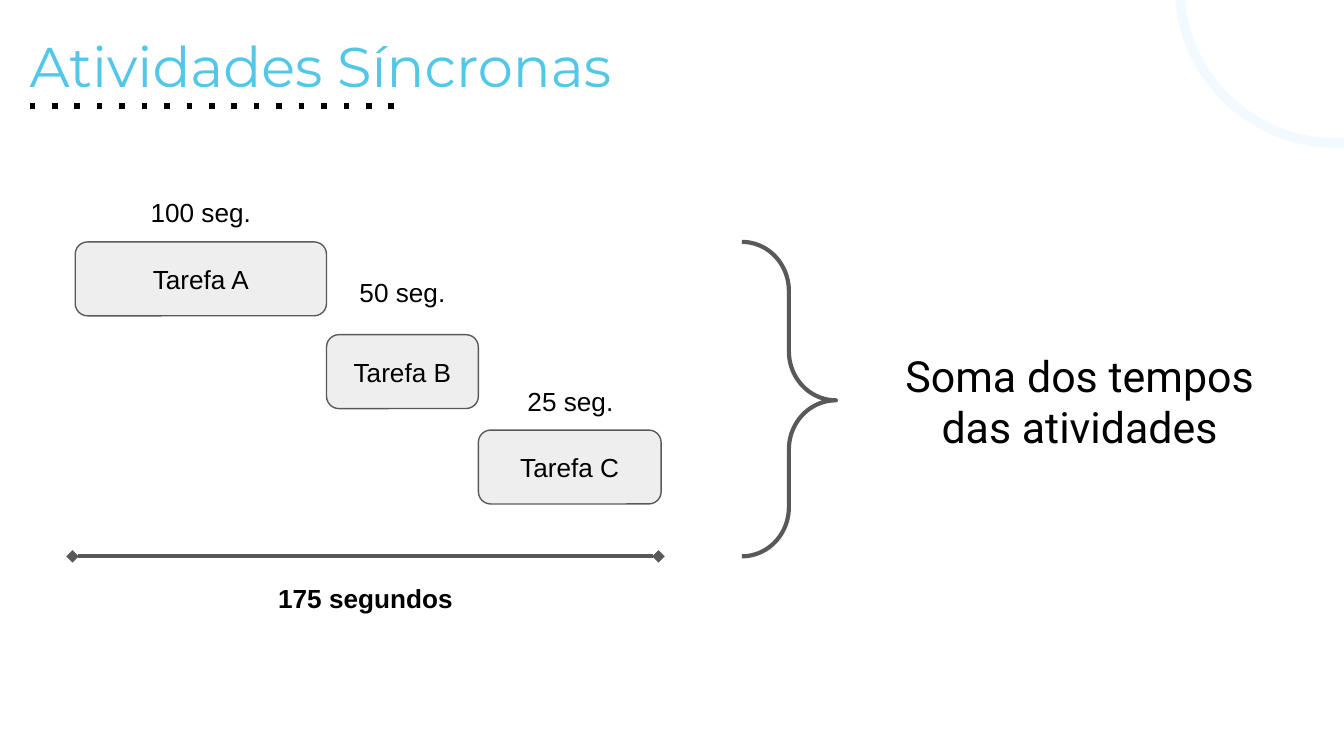
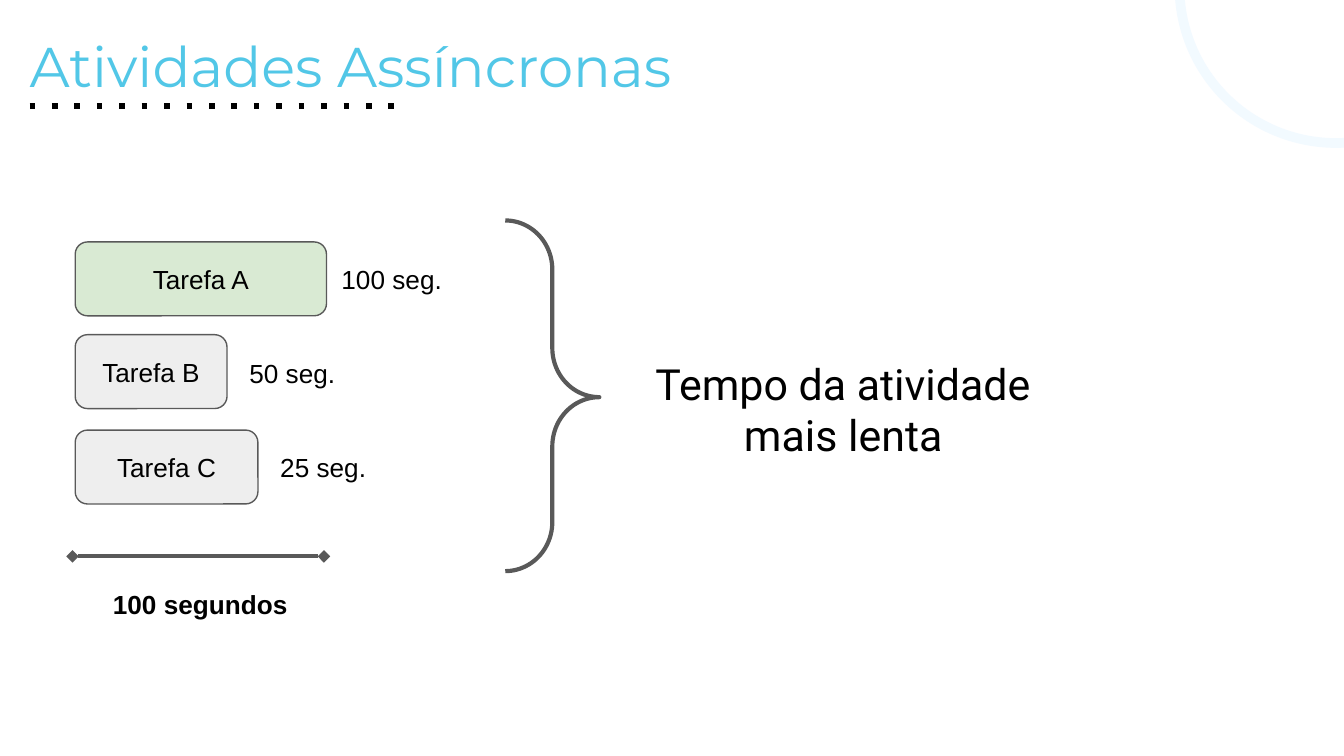
from dataclasses import dataclass
from typing import Optional

import lxml.etree
import pptx
import pptx.dml.color
import pptx.enum.shapes
import pptx.enum.text
import pptx.oxml.ns
import pptx.shapes.autoshape
import pptx.slide
import pptx.text.text
import pptx.util

PX = 9144  # one px is a hundredth of an inch
PAGE_WIDTH = 1000
SHAPES = pptx.enum.shapes.MSO_SHAPE
ALIGN = pptx.enum.text.PP_ALIGN


# Theme
@dataclass(frozen=True)
class TextStyle:
    font: str
    size: int
    color: str
    bold: bool = False
    align: Optional[ALIGN] = ALIGN.CENTER
    spacing: Optional[float] = None
    inset: int = 10


@dataclass(frozen=True)
class Theme:
    ring: str = "F2FAFF"
    dots: str = "000000"
    outline: str = "595959"
    task: str = "EEEEEE"
    slowest: str = "D9EAD3"
    thin: float = 0.75
    thick: float = 2.25
    dotted: float = 3
    title: TextStyle = TextStyle("Montserrat", 30, "52C7E7", align=None, spacing=1.09, inset=0)
    label: TextStyle = TextStyle("Arial", 14, "000000")
    total: TextStyle = TextStyle("Arial", 14, "000000", bold=True)
    note: TextStyle = TextStyle("Roboto", 23, "000000")


THEME = Theme()


# Content
@dataclass(frozen=True)
class Frame:
    left: int
    top: int
    width: int
    height: int

    @property
    def right(self) -> int:
        return self.left + self.width

    @property
    def center(self) -> int:
        return self.left + self.width // 2

    def emu(self) -> tuple[int, int, int, int]:
        return self.left * PX, self.top * PX, self.width * PX, self.height * PX


@dataclass(frozen=True)
class Task:
    name: str
    duration: str
    top: int
    width: int


@dataclass(frozen=True)
class Activity:
    title: str
    sequential: bool
    label_tops: tuple[int, ...]
    total: str
    total_place: Frame
    brace: Frame
    note: str
    note_top: int


TASKS = (
    Task("Tarefa A", "100 seg.", 180, 187),
    Task("Tarefa B", "50 seg.", 249, 113),
    Task("Tarefa C", "25 seg.", 320, 136),
)
ACTIVITIES = (
    Activity("Atividades Síncronas", True, (136, 196, 277),
             "175 segundos", Frame(193, 423, 158, 44),
             Frame(552, 180, 70, 234), "Soma dos tempos das atividades", 250),
    Activity("Atividades Assíncronas", False, (186, 256, 326),
             "100 segundos", Frame(70, 428, 158, 44),
             Frame(376, 164, 70, 261), "Tempo da atividade mais lenta", 256),
)
TASK_LEFT, TASK_HEIGHT = 56, 55
LABEL_WIDTH, LABEL_HEIGHT = 97, 44
SPAN_LEFT, SPAN_TOP = 54, 414
NOTE_GAP = 23


# Drawing helpers
def rgb(color: str) -> pptx.dml.color.RGBColor:
    return pptx.dml.color.RGBColor.from_string(color)


def write(frame: pptx.text.text.TextFrame, words: str, style: TextStyle) -> None:
    frame.word_wrap = True
    frame.margin_left = frame.margin_right = style.inset * PX
    frame.margin_top = frame.margin_bottom = style.inset * PX
    para = frame.paragraphs[0]
    para.alignment = style.align
    para.line_spacing = style.spacing
    span = para.add_run()
    span.text = words
    span.font.name = style.font
    span.font.size = pptx.util.Pt(style.size)
    span.font.bold = style.bold
    span.font.color.rgb = rgb(style.color)


def add_text(page: pptx.slide.Slide, place: Frame, words: str, style: TextStyle) -> None:
    box = page.shapes.add_textbox(*place.emu())
    write(box.text_frame, words, style)
    box.text_frame.auto_size = pptx.enum.text.MSO_AUTO_SIZE.SHAPE_TO_FIT_TEXT


def add_shape(page: pptx.slide.Slide, kind: SHAPES, place: Frame, adjustments: tuple[float, ...],
              fill: Optional[str] = None, weight: float = 0) -> pptx.shapes.autoshape.Shape:
    shape = page.shapes.add_shape(kind, *place.emu())
    shape.shadow.inherit = False
    for index, value in enumerate(adjustments):
        shape.adjustments[index] = value
    if fill:
        shape.fill.solid()
        shape.fill.fore_color.rgb = rgb(fill)
    else:
        shape.fill.background()
    if weight:
        shape.line.color.rgb = rgb(THEME.outline)
        shape.line.width = pptx.util.Pt(weight)
    else:
        shape.line.fill.background()
    return shape


def add_line(page: pptx.slide.Slide, left: int, right: int, top: int, color: str,
             weight: float, details: dict[str, dict[str, str]]) -> None:
    line = page.shapes.add_connector(pptx.enum.shapes.MSO_CONNECTOR.STRAIGHT,
                                     left * PX, top * PX, right * PX, top * PX)
    line.line.color.rgb = rgb(color)
    line.line.width = pptx.util.Pt(weight)
    properties = line.element.spPr
    outline = properties.find(pptx.oxml.ns.qn("a:ln"))
    for tag, attributes in details.items():
        lxml.etree.SubElement(outline, pptx.oxml.ns.qn(tag), attributes)
    lxml.etree.SubElement(properties, pptx.oxml.ns.qn("a:effectLst"))


# Slide parts
def draw_header(page: pptx.slide.Slide, title: str) -> None:
    add_shape(page, SHAPES.DONUT, Frame(874, -130, 240, 240), (0.03,), THEME.ring)
    add_line(page, 22, 301, 79, THEME.dots, THEME.dotted, {"a:prstDash": {"val": "dot"}})
    add_text(page, Frame(22, 19, 615, 50), title, THEME.title)


def draw_tasks(page: pptx.slide.Slide, activity: Activity) -> None:
    left = TASK_LEFT
    for index, (task, label_top) in enumerate(zip(TASKS, activity.label_tops)):
        place = Frame(left, task.top, task.width, TASK_HEIGHT)
        slowest = index == 0 and not activity.sequential
        box = add_shape(page, SHAPES.ROUNDED_RECTANGLE, place, (0.167,),
                        THEME.slowest if slowest else THEME.task, THEME.thin)
        write(box.text_frame, task.name, THEME.label)
        box.text_frame.vertical_anchor = pptx.enum.text.MSO_ANCHOR.MIDDLE
        label_left = place.center - LABEL_WIDTH // 2 if activity.sequential else place.right
        add_text(page, Frame(label_left, label_top, LABEL_WIDTH, LABEL_HEIGHT),
                 task.duration, THEME.label)
        if activity.sequential:
            left = place.right


def draw_total(page: pptx.slide.Slide, activity: Activity) -> None:
    widths = [task.width for task in TASKS]
    length = sum(widths) if activity.sequential else max(widths)
    diamond = {"type": "diamond"}
    add_line(page, SPAN_LEFT, SPAN_LEFT + length, SPAN_TOP, THEME.outline, THEME.thick,
             {"a:headEnd": diamond, "a:tailEnd": diamond})
    add_text(page, activity.total_place, activity.total, THEME.total)


def draw_note(page: pptx.slide.Slide, activity: Activity) -> None:
    add_shape(page, SHAPES.RIGHT_BRACE, activity.brace, (0.522, 0.504), weight=THEME.thick)
    add_text(page, Frame(activity.brace.right + NOTE_GAP, activity.note_top, 317, 98),
             activity.note, THEME.note)


def main() -> None:
    deck = pptx.Presentation()
    deck.slide_width = PAGE_WIDTH * PX
    deck.slide_height = PAGE_WIDTH * PX * 9 // 16
    for activity in ACTIVITIES:
        page = deck.slides.add_slide(deck.slide_layouts[6])
        draw_header(page, activity.title)
        draw_tasks(page, activity)
        draw_total(page, activity)
        draw_note(page, activity)
    deck.save("out.pptx")


if __name__ == "__main__":
    main()
